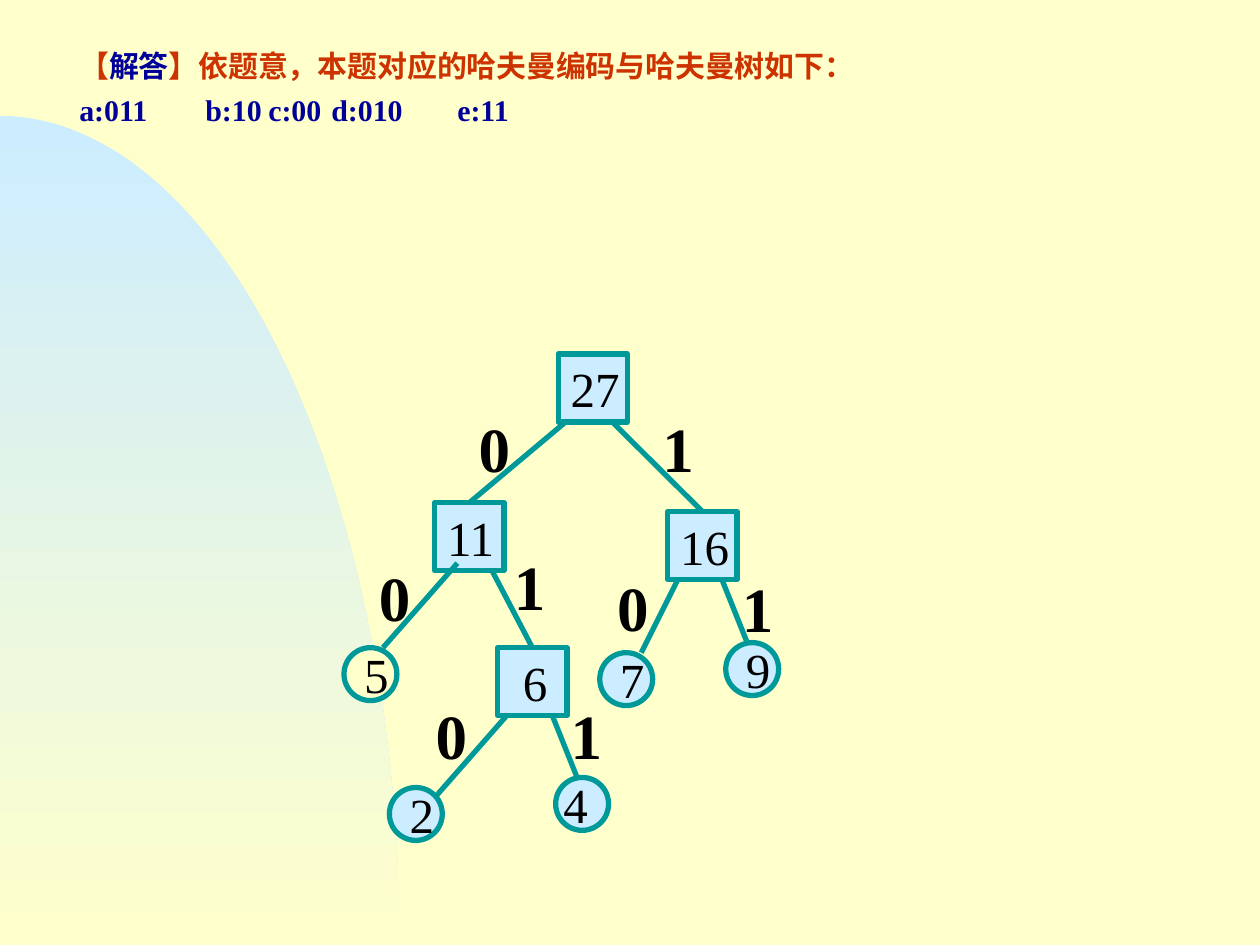
from math import cos, pi, sin

from lxml.etree import SubElement
from pptx import Presentation
from pptx.dml.color import RGBColor
from pptx.enum.shapes import MSO_CONNECTOR, MSO_SHAPE
from pptx.enum.text import MSO_ANCHOR, MSO_AUTO_SIZE, PP_ALIGN
from pptx.oxml.ns import qn
from pptx.util import Inches, Pt

FONT = "Times New Roman"
CREAM = RGBColor(0xFF, 0xFF, 0xCC)
SKY = RGBColor(0xCC, 0xEC, 0xFF)
TEAL = RGBColor(0x00, 0x99, 0x99)
RED = RGBColor(0xCC, 0x33, 0x00)
NAVY = RGBColor(0x00, 0x00, 0x99)
BLACK = RGBColor(0x01, 0x00, 0x00)

BRANCH_SIZE = (0.55, 0.54)
LEAF_SIZE = 0.42

# Weight: left, top (inside the tree's box), text indent
BRANCHES = {
    "27": (1.7, 0, 0.1),
    "11": (0.72, 1.18, 0.1),
    "16": (2.57, 1.25, 0.1),
    "6": (1.22, 2.33, 0.2),
}
LEAVES = {
    "5": (0, 2.33, 0.1),
    "2": (0.36, 3.44, 0.1),
    "4": (1.68, 3.36, 0),
    "7": (2.03, 2.37, 0.1),
    "9": (3.03, 2.29, 0.1),
}
# Child, bit, start of edge, end of edge, left top of the bit
EDGES = [
    ("11", "0", (1.77, 0.53), (1, 1.16), (0.97, 0.39)),
    ("16", "1", (2.12, 0.53), (2.85, 1.23), (2.43, 0.39)),
    ("5", "0", (0.9, 1.66), (0.31, 2.33), (0.18, 1.57)),
    ("6", "1", (1.17, 1.71), (1.53, 2.33), (1.25, 1.49)),
    ("7", "0", (2.65, 1.79), (2.36, 2.37), (2.07, 1.65)),
    ("9", "1", (3, 1.79), (3.2, 2.29), (3.06, 1.66)),
    ("2", "0", (1.3, 2.86), (0.72, 3.52), (0.63, 2.67)),
    ("4", "1", (1.65, 2.86), (1.85, 3.36), (1.7, 2.67)),
]


def add_run(paragraph, text, size, color, bold=False):
    run = paragraph.add_run()
    run.text = text
    run.font.name = FONT
    run.font.size = Pt(size)
    run.font.bold = bold
    run.font.color.rgb = color


def add_backdrop(slide, left, top, width, height):
    """Quarter ellipse centred on the lower left corner of its box."""
    slide.background.fill.solid()
    slide.background.fill.fore_color.rgb = CREAM
    steps = 90
    angles = [pi / 2 * step / steps for step in range(steps + 1)]
    curve = [(Inches(left + width * sin(a)), Inches(top + height * (1 - cos(a))))
             for a in angles]
    builder = slide.shapes.build_freeform(*curve[0])
    builder.add_line_segments(curve[1:] + [(Inches(left), Inches(top + height))])
    arc = builder.convert_to_shape()
    arc.shadow.inherit = False
    arc.line.fill.background()
    arc.fill.gradient()
    arc.fill.gradient_angle = 270
    for stop, color, position in zip(arc.fill.gradient_stops, (SKY, CREAM), (0, 1)):
        stop.color.rgb = color
        stop.position = position
    # Send behind the text
    slide.shapes._spTree.insert(2, arc._element)


def add_answer(slide, left, top, width, height):
    body = slide.placeholders[1]
    body.left, body.top = Inches(left), Inches(top)
    body.width, body.height = Inches(width), Inches(height)
    frame = body.text_frame
    frame.auto_size = MSO_AUTO_SIZE.NONE
    lines = [
        [("【", RED), ("解答", NAVY),
         ("】依题意，本题对应的哈夫曼编码与哈夫曼树如下：", RED)],
        [("a:011\tb:10\tc:00\td:010\te:11", NAVY)],
    ]
    for index, runs in enumerate(lines):
        paragraph = frame.add_paragraph() if index else frame.paragraphs[0]
        paragraph.line_spacing = 0.8
        paragraph.space_before = Pt(9)
        for text, color in runs:
            add_run(paragraph, text, 17.1, color, bold=True)
        properties = paragraph._p.get_or_add_pPr()
        properties.set("marL", "0")
        properties.set("indent", "0")
        SubElement(properties, qn("a:buNone"))
        tabs = SubElement(properties, qn("a:tabLst"))
        for stop in (0.84, 1.52, 2.12, 2.86):
            SubElement(tabs, qn("a:tab"), pos=str(Inches(stop)), algn="l")


def add_node(slide, kind, weight, left, top, width, height, indent, fill):
    node = slide.shapes.add_shape(kind, Inches(left), Inches(top),
                                  Inches(width), Inches(height))
    node.shadow.inherit = False
    node.fill.solid()
    node.fill.fore_color.rgb = fill
    node.line.color.rgb = TEAL
    node.line.width = Pt(3)
    frame = node.text_frame
    frame.word_wrap = False
    frame.vertical_anchor = MSO_ANCHOR.MIDDLE
    frame.margin_left = Inches(indent)
    frame.margin_right = frame.margin_top = frame.margin_bottom = 0
    frame.paragraphs[0].alignment = PP_ALIGN.LEFT
    add_run(frame.paragraphs[0], weight, 28, BLACK)
    return node


def add_edge(slide, start, end, branch):
    edge = slide.shapes.add_connector(MSO_CONNECTOR.STRAIGHT,
                                      *map(Inches, start + end))
    edge.line.color.rgb = TEAL
    edge.line.width = Pt(3)
    SubElement(edge._element.spPr, qn("a:effectLst"))
    if branch is not None:
        edge.end_connect(branch, 0)


def add_bit(slide, bit, left, top):
    label = slide.shapes.add_textbox(Inches(left), Inches(top),
                                     Inches(0.43), Inches(0.7))
    label.text_frame.word_wrap = True
    label.text_frame.auto_size = MSO_AUTO_SIZE.SHAPE_TO_FIT_TEXT
    add_run(label.text_frame.paragraphs[0], bit, 36, BLACK, bold=True)


def add_huffman_tree(slide, left, top):
    def place(point):
        return left + point[0], top + point[1]

    # Nodes: squares for the sums, circles for the letters
    branches = {}
    for weight, (x, y, indent) in BRANCHES.items():
        branches[weight] = add_node(slide, MSO_SHAPE.RECTANGLE, weight,
                                    *place((x, y)), *BRANCH_SIZE, indent, SKY)
    for weight, (x, y, indent) in LEAVES.items():
        add_node(slide, MSO_SHAPE.OVAL, weight, *place((x, y)), LEAF_SIZE,
                 LEAF_SIZE, indent, CREAM if weight == "5" else SKY)
    # Edges with their bits
    for child, bit, start, end, corner in EDGES:
        add_edge(slide, place(start), place(end), branches.get(child))
        add_bit(slide, bit, *place(corner))


def main():
    presentation = Presentation()
    presentation.slide_width = Inches(10)
    presentation.slide_height = Inches(7.5)
    slide = presentation.slides.add_slide(presentation.slide_layouts[1])
    title = slide.shapes.title._element
    title.getparent().remove(title)

    add_backdrop(slide, 0, 0.92, 3.17, 6.58)
    add_answer(slide, 0.53, 0.38, 8.88, 0.77)
    add_huffman_tree(slide, 2.73, 2.81)
    presentation.save("out.pptx")


if __name__ == "__main__":
    main()
